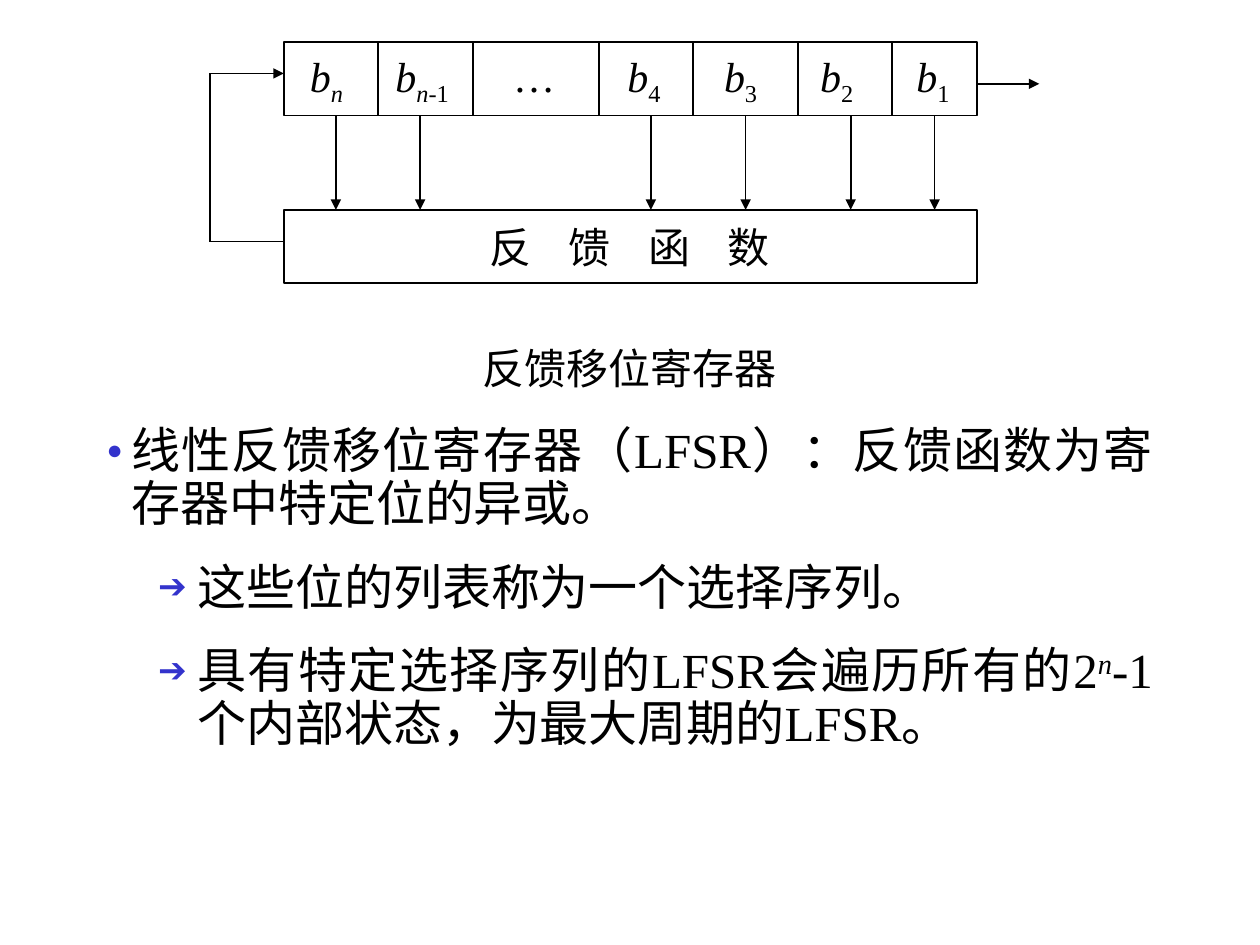
import pptx
import pptx.util
import pptx.dml.color
import pptx.enum.shapes
import pptx.enum.text
import pptx.oxml
import pptx.oxml.ns
from pptx.util import Cm, Pt

COLORS = {"ink": "000000", "bullet": "3333CC"}
FONT = "Times New Roman"
ALIGN = pptx.enum.text.PP_ALIGN
ANCHOR = pptx.enum.text.MSO_ANCHOR
INSET = 0.25  # centimetres, like all bare lengths below

# A run is (text, italic, baseline shift in percent).
BIT_NAMES = [
    [("b", True, 0), ("n", True, -25)],
    [("b", True, 0), ("n", True, -25), ("-1", False, -25)],
    [("…", False, 0)],
] + [[("b", True, 0), (str(bit), False, -25)] for bit in (4, 3, 2, 1)]
BIT_CENTERS = [6.58, 8.51, 10.77, 12.98, 14.93, 16.87, 18.81]

FUNCTION_NAME = [[(letter, False, 0)] for letter in "反馈函数"]
FUNCTION_CENTERS = [10.29 + 1.6 * i for i in range(4)]

CAPTION = [("反馈移位寄存器", False, 0)]

BODY = [
    (0, [("线性反馈移位寄存器（LFSR）：反馈函数为寄存器中特定位的异或。", False, 0)]),
    (1, [("这些位的列表称为一个选择序列。", False, 0)]),
    (1, [("具有特定选择序列的LFSR会遍历所有的2", False, 0), ("n", True, 30),
         ("-1个内部状态，为最大周期的LFSR。", False, 0)]),
]
# Per level: text indent, hanging indent, bullet, bullet size in percent
LEVELS = [(0.5, -0.5, "●", 55), (1.83, -0.79, "➔", 70)]

LEFT, WIDTH, HEIGHT = 5.72, 13.97, 1.48
RIGHT = LEFT + WIDTH
REGISTER_TOP, FUNCTION_TOP = 0.85, 4.23
REGISTER_BOTTOM = REGISTER_TOP + HEIGHT
DIVIDERS = [7.62, 9.53, 12.07, 13.97, 16.09, 17.99]
TAPS = [6.77, 8.47, 13.12, 15.03, 17.15, 18.84]
LOOP_X, LOOP_TOP, LOOP_BOTTOM = 4.23, 1.48, 4.87
OUTPUT_Y, OUTPUT_END = 1.69, 20.95

# (x1, y1, x2, y2, has arrowhead)
LINES = [(x, REGISTER_TOP, x, REGISTER_BOTTOM, False) for x in DIVIDERS]
LINES += [(x, REGISTER_BOTTOM, x, FUNCTION_TOP, True) for x in TAPS]
LINES += [
    (LEFT, LOOP_BOTTOM, LOOP_X, LOOP_BOTTOM, False),
    (LOOP_X, LOOP_BOTTOM, LOOP_X, LOOP_TOP, False),
    (LOOP_X, LOOP_TOP, LEFT, LOOP_TOP, True),
    (RIGHT, OUTPUT_Y, OUTPUT_END, OUTPUT_Y, True),
]


def color(name):
    return pptx.dml.color.RGBColor.from_string(COLORS[name])


def add_child(parent, tag, **attributes):
    child = pptx.oxml.ns.qn(tag)
    element = parent.makeelement(child, attributes)
    parent.append(element)
    return element


def set_frame(frame, anchor):
    values = {"word_wrap": True, "vertical_anchor": anchor,
              "auto_size": pptx.enum.text.MSO_AUTO_SIZE.NONE,
              "margin_left": Cm(INSET), "margin_right": Cm(INSET),
              "margin_top": Cm(0.13), "margin_bottom": Cm(0.13)}
    for name, value in values.items():
        setattr(frame, name, value)


def add_runs(para, runs, size):
    for text, italic, baseline in runs:
        run = para.add_run()
        run.text = text
        for name, value in {"name": FONT, "size": Pt(size), "italic": italic}.items():
            setattr(run.font, name, value)
        run.font.color.rgb = color("ink")
        if baseline:
            run._r.get_or_add_rPr().set("baseline", str(baseline * 1000))


def add_block(slide, top, labels, centers):
    """Outlined box whose labels sit on centred tab stops."""
    block = slide.shapes.add_shape(pptx.enum.shapes.MSO_SHAPE.RECTANGLE,
                                   Cm(LEFT), Cm(top), Cm(WIDTH), Cm(HEIGHT))
    block.shadow.inherit = False
    block.fill.background()
    block.line.color.rgb = color("ink")
    block.line.width = Pt(1)
    set_frame(block.text_frame, ANCHOR.MIDDLE)
    para = block.text_frame.paragraphs[0]
    tabs = add_child(para._p.get_or_add_pPr(), "a:tabLst")
    for center in centers:
        add_child(tabs, "a:tab", pos=str(Cm(center - LEFT - INSET)), algn="ctr")
    para.alignment = ALIGN.LEFT
    for label in labels:
        add_runs(para, [("\t", False, 0)] + label, 24)


def add_line(slide, x1, y1, x2, y2, arrow):
    line = slide.shapes.add_connector(pptx.enum.shapes.MSO_CONNECTOR.STRAIGHT,
                                      Cm(x1), Cm(y1), Cm(x2), Cm(y2))
    line.line.color.rgb = color("ink")
    line.line.width = Pt(1)
    if arrow:
        add_child(line.line._get_or_add_ln(), "a:tailEnd", type="triangle")
    add_child(line._element.spPr, "a:effectLst")


def fill_body(body):
    for name, value in {"left": 1.9, "top": 8.47, "width": 21.59, "height": 6.82}.items():
        setattr(body, name, Cm(value))
    frame = body.text_frame
    set_frame(frame, ANCHOR.TOP)
    for index, (level, runs) in enumerate(BODY):
        para = frame.add_paragraph() if index else frame.paragraphs[0]
        margin, hanging, bullet, percent = LEVELS[level]
        properties = para._p.get_or_add_pPr()
        properties.set("marL", str(Cm(margin)))
        properties.set("indent", str(Cm(hanging)))
        bullet_color = add_child(properties, "a:buClr")
        add_child(bullet_color, "a:srgbClr", val=COLORS["bullet"])
        add_child(properties, "a:buSzPct", val=str(percent * 1000))
        add_child(properties, "a:buChar", char=bullet)
        values = {"level": level, "alignment": ALIGN.JUSTIFY, "line_spacing": 0.9,
                  "space_before": Pt(17.5 if index else 0)}
        for name, value in values.items():
            setattr(para, name, value)
        add_runs(para, runs, 28)


def main():
    deck = pptx.Presentation()
    deck.slide_width, deck.slide_height = Cm(25.4), Cm(19.05)
    slide = deck.slides.add_slide(deck.slide_layouts.get_by_name("Title and Content"))
    title = slide.shapes.title._element
    title.getparent().remove(title)

    fill_body(slide.placeholders[1])
    add_block(slide, REGISTER_TOP, BIT_NAMES, BIT_CENTERS)
    add_block(slide, FUNCTION_TOP, FUNCTION_NAME, FUNCTION_CENTERS)
    for line in LINES:
        add_line(slide, *line)

    caption = slide.shapes.add_textbox(Cm(8.04), Cm(6.77), Cm(9.31), Cm(1.27))
    set_frame(caption.text_frame, ANCHOR.TOP)
    para = caption.text_frame.paragraphs[0]
    para.alignment = ALIGN.CENTER
    add_runs(para, CAPTION, 24)
    deck.save("out.pptx")


if __name__ == "__main__":
    main()
